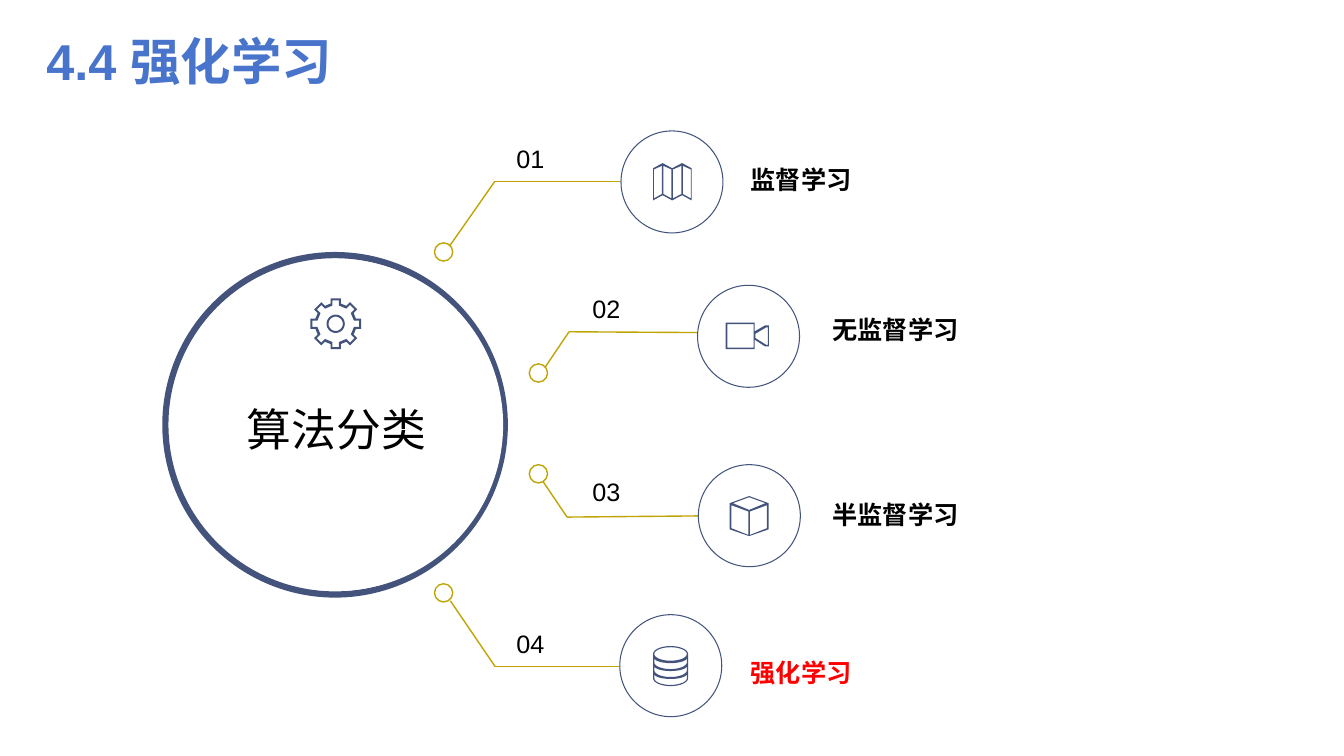
from dataclasses import dataclass
from math import cos, pi, sin

from pptx import Presentation
from pptx.dml.color import RGBColor
from pptx.enum.lang import MSO_LANGUAGE_ID as LANG
from pptx.enum.shapes import MSO_CONNECTOR as CONN, MSO_SHAPE as SHAPE
from pptx.enum.text import MSO_ANCHOR as ANCHOR, MSO_AUTO_SIZE as AUTO, PP_ALIGN as ALIGN
from pptx.oxml.ns import qn
from pptx.util import Cm, Pt


@dataclass(frozen=True)
class Theme:
    """Colours, type sizes and the font of the slide."""
    font: str = "Arial"
    navy: str = "43537C"
    gold: str = "BFA405"
    blue: str = "4874CB"
    red: str = "FF0000"
    black: str = "000000"
    white: str = "FFFFFF"
    title: int = 36
    hub: int = 32
    body: int = 18


T = Theme()
DOT, NODE = 0.46, 2.57
BRANCHES = [
    dict(no="01", label="监督学习", color=T.black, dot=(10.95, 6.12), node=(15.65, 3.3),
         path=[(11.33, 6.2), (12.47, 4.57), (15.62, 4.57)],
         no_at=(12.47, 3.48), label_at=(18.67, 4.01)),
    dict(no="02", label="无监督学习", color=T.black, dot=(13.34, 9.17), node=(17.58, 7.19),
         path=[(13.74, 9.25), (14.34, 8.36), (17.58, 8.38)],
         no_at=(14.38, 7.26), label_at=(20.73, 7.8)),
    dict(no="03", label="半监督学习", color=T.black, dot=(13.34, 11.71), node=(17.6, 11.71),
         path=[(13.69, 12.14), (14.29, 13.03), (17.6, 13.0)],
         no_at=(14.38, 11.89), label_at=(20.73, 12.45)),
    dict(no="04", label="强化学习", color=T.red, dot=(10.95, 14.71), node=(15.62, 15.49),
         path=[(11.35, 15.14), (12.48, 16.8), (15.62, 16.8)],
         no_at=(12.47, 15.7), label_at=(18.67, 16.43)),
]


def paint(sp, fill, line=None, width=1):
    """Set the fill and outline of a shape and drop its shadow."""
    sp.shadow.inherit = False
    sp.fill.solid()
    sp.fill.fore_color.rgb = RGBColor.from_string(fill)
    if line:
        sp.line.color.rgb = RGBColor.from_string(line)
        sp.line.width = Pt(width)
    else:
        sp.line.fill.background()


def add_round(s, at, size, fill, line=None, width=1, kind=SHAPE.OVAL):
    """Add a circle or ring by its top left corner and diameter."""
    sp = s.shapes.add_shape(kind, Cm(at[0]), Cm(at[1]), Cm(size), Cm(size))
    paint(sp, fill, line, width)
    return sp


def add_line(s, start, end):
    """Add one straight gold line."""
    sp = s.shapes.add_connector(CONN.STRAIGHT, *(Cm(v) for v in (*start, *end)))
    sp.line.color.rgb = RGBColor.from_string(T.gold)
    sp.line.width = Pt(1)
    props = sp._element.spPr
    props.append(props.makeelement(qn("a:effectLst"), {}))


def add_text(s, text, at, size, pt, color, bold=False, align=ALIGN.LEFT):
    """Add a one-line text box and return its text frame."""
    sp = s.shapes.add_textbox(*(Cm(v) for v in (*at, *size)))
    tf = sp.text_frame
    tf.word_wrap = True
    tf.auto_size = AUTO.SHAPE_TO_FIT_TEXT
    p = tf.paragraphs[0]
    p.alignment = align
    r = p.add_run()
    r.text = text
    r.font.name, r.font.size, r.font.bold = T.font, Pt(pt), bold
    r.font.color.rgb = RGBColor.from_string(color)
    r.font.language_id = LANG.SIMPLIFIED_CHINESE
    return tf


def add_title(s, text):
    """Add the slide title, centred vertically without insets."""
    tf = add_text(s, text, (1.17, 0.53), (30.48, 1.96), T.title, T.blue, True)
    tf.auto_size = AUTO.NONE
    tf.vertical_anchor = ANCHOR.MIDDLE
    tf.margin_left = tf.margin_right = tf.margin_top = tf.margin_bottom = 0


def add_icon(s, at, contours):
    """Add a filled outline whose inner contours are holes."""
    grid = 1000
    rings = [[((at[0] + x) * grid, (at[1] + y) * grid) for x, y in c] for c in contours]
    builder = s.shapes.build_freeform(*rings[0][0], scale=Cm(1) / grid)
    builder.add_line_segments(rings[0][1:])
    for ring in rings[1:]:
        builder.move_to(*ring[0])
        builder.add_line_segments(ring[1:])
    paint(builder.convert_to_shape(), T.navy)


def arc(cx, cy, rx, ry, start=0.0, end=2 * pi, steps=32):
    """Return points along an elliptical arc."""
    angles = [start + (end - start) * i / steps for i in range(steps + 1)]
    return [(cx + rx * cos(a), cy + ry * sin(a)) for a in angles]


def map_icon():
    """Return the contours of a folded map."""
    xs = [0, 0.24, 0.48, 0.73, 0.97]
    outer = [(x, 0 if i % 2 else 0.13) for i, x in enumerate(xs)]
    outer += [(x, 0.81 if i % 2 else 0.94) for i, x in reversed(list(enumerate(xs)))]
    high, low = (0.07, 0.78), (0.16, 0.89)
    panels = []
    for i, (x0, x1) in enumerate(zip(xs, xs[1:])):
        left, right = (high, low) if i % 2 else (low, high)
        x0, x1 = x0 + 0.02, x1 - 0.02
        panels.append([(x0, left[0]), (x1, right[0]), (x1, right[1]), (x0, left[1])])
    return [outer, *panels]


def camera_icon():
    """Return the contours of a video camera."""
    return [
        [(0, 0), (0.73, 0), (0.73, 0.22), (0.99, 0.07), (1.09, 0.07), (1.09, 0.6),
         (0.99, 0.6), (0.73, 0.43), (0.73, 0.67), (0, 0.67)],
        [(0.04, 0.04), (0.7, 0.04), (0.7, 0.63), (0.04, 0.63)],
        [(0.75, 0.28), (1.02, 0.12), (1.06, 0.12), (1.06, 0.56), (1.02, 0.56), (0.75, 0.39)],
    ]


def cube_icon():
    """Return the contours of a cube."""
    side = [(0.04, 0.23), (0.47, 0.39), (0.47, 0.98), (0.04, 0.81)]
    return [
        [(0, 0.18), (0.49, 0), (0.98, 0.18), (0.98, 0.84), (0.49, 1.01), (0, 0.84)],
        side,
        [(0.98 - x, y) for x, y in side],
        [(0.08, 0.18), (0.49, 0.03), (0.9, 0.18), (0.49, 0.35)],
    ]


def database_icon():
    """Return the contours of a stacked cylinder."""
    cx, rx = 0.44, 0.41
    outer = arc(cx, 0.2, 0.44, 0.2, pi, 2 * pi) + arc(cx, 0.81, 0.44, 0.2, 0, pi)
    bands = [arc(cx, 0.3 + 0.2 * i, rx, 0.13, pi, 0)
             + arc(cx, 0.41 + 0.2 * i, rx, 0.17, 0, pi) for i in range(3)]
    return [outer, arc(cx, 0.2, rx, 0.17), *bands]


def gear_icon():
    """Return the contours of an eight-toothed gear around its centre."""
    def teeth(half, base, tip):
        tooth = [(-half, -base), (-half, -tip), (half, -tip), (half, -base)]
        turns = [i * pi / 4 for i in range(8)]
        return [(x * cos(a) - y * sin(a), x * sin(a) + y * cos(a))
                for a in turns for x, y in tooth]
    return [teeth(0.13, 0.51, 0.64), teeth(0.08, 0.46, 0.59),
            arc(0, 0, 0.23, 0.23), arc(0, 0, 0.18, 0.18)]


def add_hub(s):
    """Add the large ring with its gear and caption."""
    ring = add_round(s, (4.09, 6.35), 8.71, T.navy, kind=SHAPE.DONUT)
    ring.adjustments[0] = 0.018
    add_round(s, (4.32, 6.53), 8.36, T.white)
    add_icon(s, (8.46, 8.16), gear_icon())
    add_text(s, "算法分类", (5.97, 10.01), (5.36, 1.63), T.hub, T.black)


def add_branch(s, branch):
    """Add one branch: dot, bent line, circle, number and label."""
    add_round(s, branch["dot"], DOT, T.white, T.gold)
    for start, end in zip(branch["path"], branch["path"][1:]):
        add_line(s, start, end)
    add_round(s, branch["node"], NODE, T.white, T.navy, 0.75)
    add_text(s, branch["no"], branch["no_at"], (1.8, 1.02), T.body, T.black, align=ALIGN.CENTER)
    add_text(s, branch["label"], branch["label_at"], (8.1, 1.02), T.body, branch["color"], True)


def main():
    """Build and save the slide."""
    prs = Presentation()
    prs.slide_width, prs.slide_height = Cm(33.87), Cm(19.05)
    s = prs.slides.add_slide(prs.slide_layouts[6])
    add_hub(s)
    for branch in BRANCHES:
        add_branch(s, branch)
    add_icon(s, (16.46, 4.11), map_icon())
    add_icon(s, (18.29, 8.13), camera_icon())
    add_icon(s, (18.39, 12.5), cube_icon())
    add_icon(s, (16.46, 16.28), database_icon())
    add_title(s, "4.4 强化学习")
    prs.save("out.pptx")


if __name__ == "__main__":
    main()
